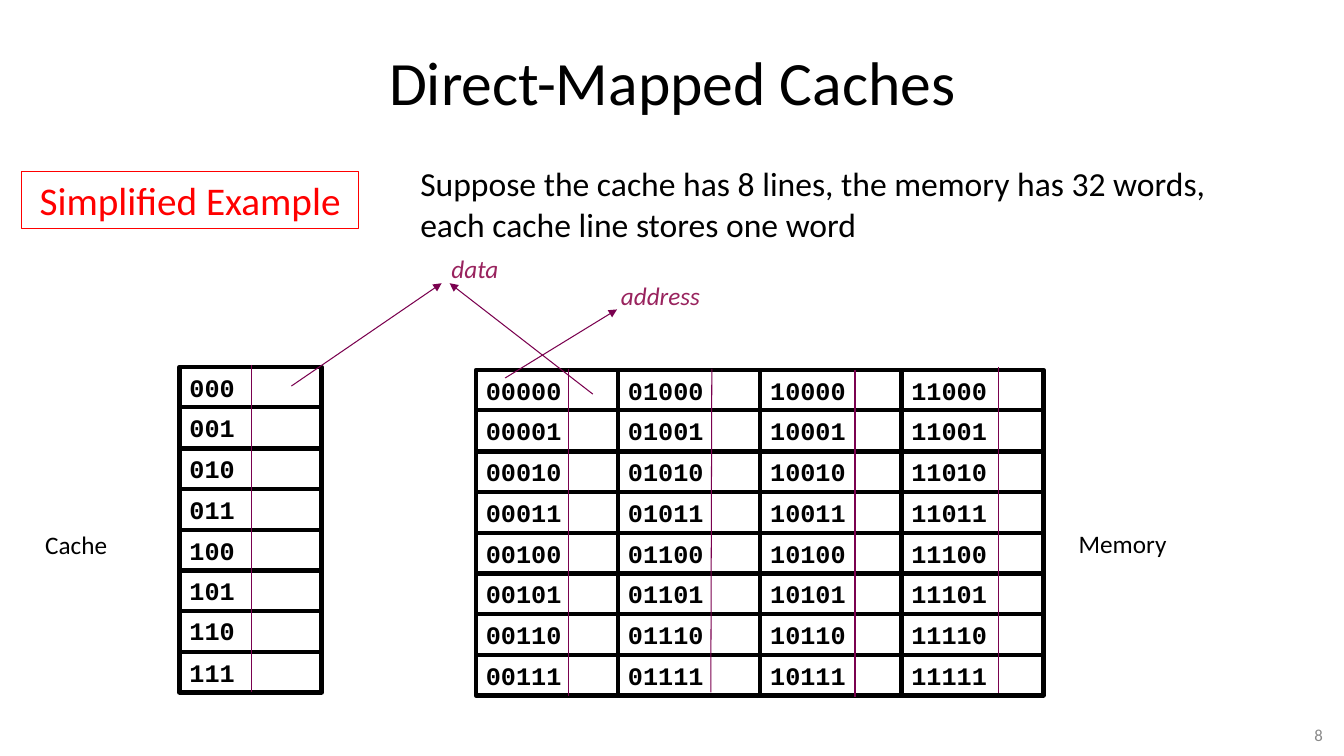
import pptx
import pptx.util
import pptx.dml.color
import pptx.enum.shapes
import pptx.enum.text
import pptx.oxml
import pptx.oxml.ns
from dataclasses import dataclass

ALIGN = pptx.enum.text.PP_ALIGN
ANCHOR = pptx.enum.text.MSO_ANCHOR
PX = 9144


@dataclass(frozen=True)
class Theme:
    font: str = "Calibri"
    mono: str = "Courier New"
    ink: str = "000000"
    red: str = "FF0000"
    plum: str = "7A014F"
    berry: str = "99235E"
    gray: str = "898989"
    title: int = 44
    callout: int = 28
    body: int = 24
    label: int = 18
    small: int = 12
    heavy: float = 3
    thin: float = 0.75


def color(value):
    return pptx.dml.color.RGBColor.from_string(value)


def emu(*lengths):
    return [pptx.util.Emu(n * PX) for n in lengths]


class Deck:
    def __init__(self, theme):
        self.theme = theme
        self.prs = pptx.Presentation()
        self.prs.slide_width, self.prs.slide_height = emu(1333, 750)
        self.s = self.prs.slides.add_slide(self.prs.slide_layouts[5])

    def fill_text(self, sp, lines, size, ink=None, font=None, align=ALIGN.LEFT,
                  anchor=ANCHOR.TOP, wrap=False, bold=False, italic=False):
        tf = sp.text_frame
        tf.word_wrap = wrap
        tf.vertical_anchor = anchor
        for i, line in enumerate(lines):
            p = tf.add_paragraph() if i else tf.paragraphs[0]
            p.alignment = align
            r = p.add_run()
            r.text = line
            r.font.name = font or self.theme.font
            r.font.size = pptx.util.Pt(size)
            r.font.bold = bold
            r.font.italic = italic
            r.font.color.rgb = color(ink or self.theme.ink)

    def title(self, box, text):
        sp = self.s.shapes.title
        sp.left, sp.top, sp.width, sp.height = emu(*box)
        self.fill_text(sp, [text], self.theme.title, align=ALIGN.CENTER,
                       anchor=ANCHOR.MIDDLE, wrap=True)

    def text(self, box, lines, size, **style):
        sp = self.s.shapes.add_textbox(*emu(*box))
        self.fill_text(sp, lines, size, **style)

    def box(self, box, text, size, line, weight, **style):
        sp = self.s.shapes.add_shape(
            pptx.enum.shapes.MSO_SHAPE.RECTANGLE, *emu(*box))
        sp.shadow.inherit = False
        sp.fill.background()
        sp.line.color.rgb = color(line)
        sp.line.width = pptx.util.Pt(weight)
        self.fill_text(sp, [text], size, **style)

    def grid(self, left, top, width, height, columns):
        def edge(start, length, i, count):
            return start + round(length * i / count)

        for c, column in enumerate(columns):
            x = edge(left, width, c, len(columns))
            right = edge(left, width, c + 1, len(columns))
            for i, word in enumerate(column):
                y = edge(top, height, i, len(column))
                bottom = edge(top, height, i + 1, len(column))
                self.box((x, y, right - x, bottom - y), word,
                         self.theme.label, self.theme.ink, self.theme.heavy,
                         font=self.theme.mono, bold=True)

    def line(self, start, end, arrow=False):
        cx = self.s.shapes.add_connector(
            pptx.enum.shapes.MSO_CONNECTOR.STRAIGHT, *emu(*start, *end))
        cx.line.color.rgb = color(self.theme.plum)
        cx.line.width = pptx.util.Pt(self.theme.thin)
        props = cx._element.spPr
        if arrow:
            tail = pptx.oxml.parse_xml(
                f'<a:tailEnd {pptx.oxml.ns.nsdecls("a")} type="triangle"/>')
            props.find(pptx.oxml.ns.qn("a:ln")).append(tail)
        props.append(pptx.oxml.parse_xml(
            f'<a:effectLst {pptx.oxml.ns.nsdecls("a")}/>'))


def main():
    t = Theme()
    deck = Deck(t)
    deck.title((67, 30, 1200, 101), "Direct-Mapped Caches")
    deck.text((1179, 714, 143, 29), ["8"], t.small, ink=t.gray,
              align=ALIGN.RIGHT, anchor=ANCHOR.MIDDLE, wrap=True)

    cache = [f"{i:03b}" for i in range(8)]
    memory = [[f"{8 * c + i:05b}" for i in range(8)] for c in range(4)]
    deck.grid(178, 364, 141, 323, [cache])
    deck.grid(472, 367, 563, 323, memory)

    deck.text((407, 157, 806, 91),
              ["Suppose the cache has 8 lines, the memory has 32 words,",
               "each cache line stores one word"], t.body)
    deck.text((35, 520, 82, 40), ["Cache"], t.label)
    deck.text((1060, 519, 108, 40), ["Memory"], t.label)
    deck.box((21, 170, 335, 57), "Simplified Example", t.callout, t.red,
             t.thin, ink=t.red, align=ALIGN.CENTER, wrap=True)

    dividers = [
        ((564, 366), (564, 690)),
        ((249, 362), (249, 687)),
        ((706, 366), (705, 687)),
        ((848, 367), (848, 691)),
        ((990, 364), (990, 688)),
    ]
    for start, end in dividers:
        deck.line(start, end)

    pointers = [
        ((501, 375), (612, 307)),
        ((588, 391), (446, 281)),
        ((289, 383), (438, 281)),
    ]
    for start, end in pointers:
        deck.line(start, end, arrow=True)

    deck.text((606, 273, 99, 40), ["address"], t.label, ink=t.berry, italic=True)
    deck.text((438, 246, 67, 40), ["data"], t.label, ink=t.berry, italic=True)
    deck.prs.save("out.pptx")


if __name__ == "__main__":
    main()
